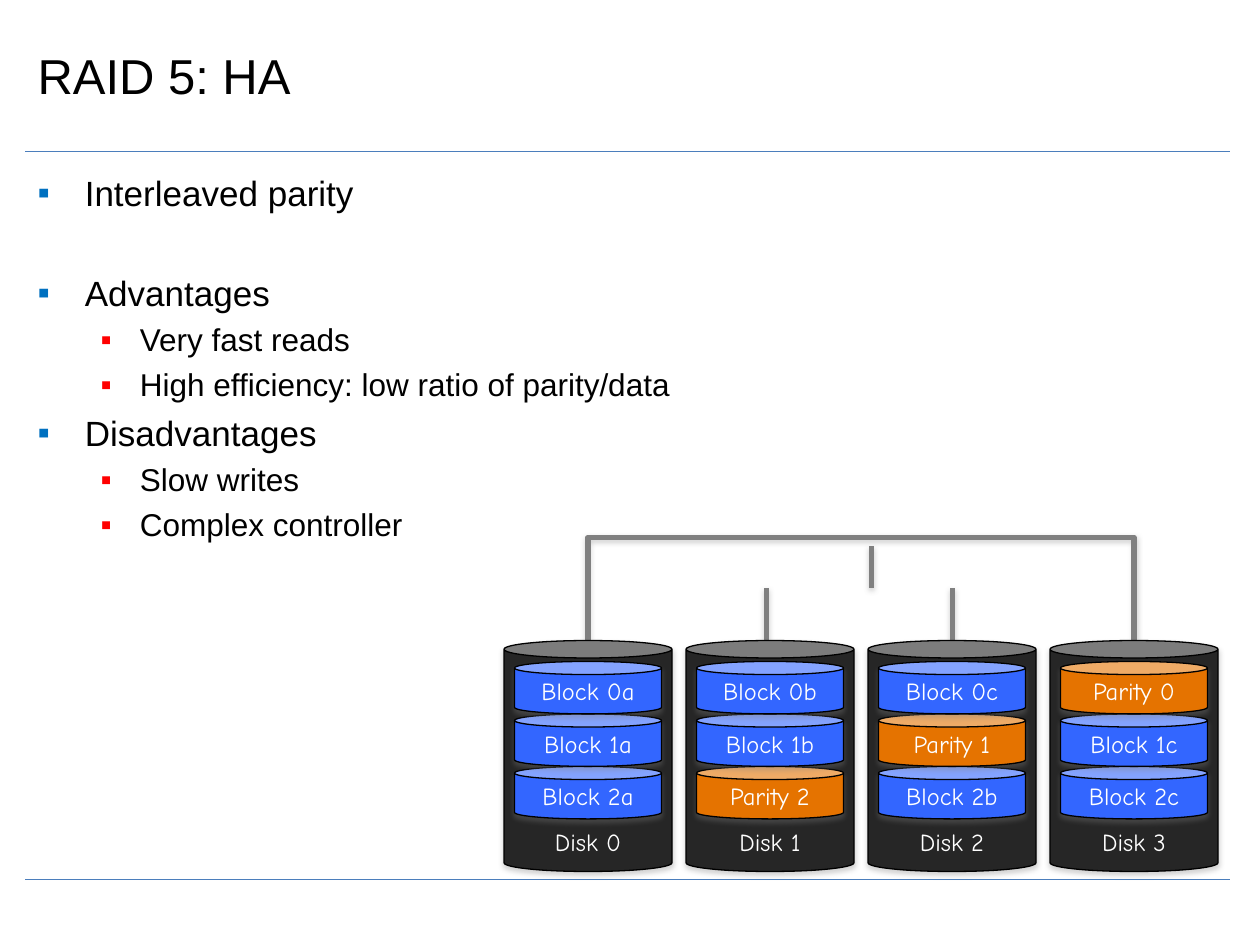
from pptx import Presentation
from pptx.dml.color import RGBColor
from pptx.enum.shapes import MSO_CONNECTOR, MSO_SHAPE
from pptx.enum.text import MSO_ANCHOR, PP_ALIGN
from pptx.oxml.ns import qn
from pptx.util import Pt
from lxml.etree import SubElement

COLORS = {
    "text": "000000", "white": "FFFFFF", "rule": "4B7EBC", "wire": "808080",
    "disk": "262626", "data": "3366FF", "parity": "E57300",
    "bullet": "0070C0", "sub_bullet": "FF0000",
}


def rgb(name):
    return RGBColor.from_string(COLORS[name])


class Deck:
    body_font = "Arial"
    label_font = "Comic Neue"

    def __init__(self, width, height):
        self.prs = Presentation()
        self.prs.slide_width, self.prs.slide_height = Pt(width), Pt(height)
        self.slide = self.prs.slides.add_slide(self.prs.slide_layouts[6])

    def style_runs(self, p, size, font, color):
        for r in p.runs:
            r.font.size, r.font.name = Pt(size), font
            r.font.color.rgb = rgb(color)

    def shadow(self, sp, alpha=35, dist=1.8):
        """Set the soft drop shadow, or none when alpha is 0."""
        spPr = sp._element.spPr
        effects = spPr.find(qn("a:effectLst"))
        if effects is None:
            effects = SubElement(spPr, qn("a:effectLst"))
        if alpha:
            outer = SubElement(effects, qn("a:outerShdw"), blurRad=str(Pt(3.1)),
                               dist=str(Pt(dist)), dir="5400000", rotWithShape="0")
            clr = SubElement(outer, qn("a:srgbClr"), val=COLORS["wire"])
            SubElement(clr, qn("a:alpha"), val=str(alpha * 1000))

    def text_box(self, x, y, w, h, anchor=MSO_ANCHOR.TOP):
        tf = self.slide.shapes.add_textbox(Pt(x), Pt(y), Pt(w), Pt(h)).text_frame
        tf.word_wrap = True
        tf.vertical_anchor = anchor
        return tf

    def title(self, text, *box):
        p = self.text_box(*box, anchor=MSO_ANCHOR.MIDDLE).paragraphs[0]
        p.text = text
        self.style_runs(p, 28, self.body_font, "text")

    def bullets(self, items, *box):
        tf = self.text_box(*box)
        for i, (level, text, before) in enumerate(items):
            p = tf.add_paragraph() if i else tf.paragraphs[0]
            p.text = text
            p.level = level
            p.space_before = Pt(before)
            size, left, hang, color = ((20, 27, 27, "bullet"),
                                       (18, 58.5, 22.5, "sub_bullet"))[level]
            self.style_runs(p, size, self.body_font, "text")
            pPr = p._p.get_or_add_pPr()
            pPr.set("marL", str(Pt(left)))
            pPr.set("indent", str(-Pt(hang)))
            SubElement(SubElement(pPr, qn("a:buClr")), qn("a:srgbClr"), val=COLORS[color])
            SubElement(pPr, qn("a:buFont"), typeface=self.body_font)
            SubElement(pPr, qn("a:buChar"), char="▪")

    def line(self, x1, y1, x2, y2, color, width, alpha=0):
        c = self.slide.shapes.add_connector(
            MSO_CONNECTOR.STRAIGHT, Pt(x1), Pt(y1), Pt(x2), Pt(y2))
        c.line.color.rgb, c.line.width = rgb(color), Pt(width)
        self.shadow(c, alpha, 1.6)

    def bracket(self, points, color, width):
        (x, y), *rest = [(Pt(a), Pt(b)) for a, b in points]
        builder = self.slide.shapes.build_freeform(x, y)
        builder.add_line_segments(rest, close=False)
        sp = builder.convert_to_shape()
        sp.shadow.inherit = False
        sp.fill.background()
        sp.line.color.rgb, sp.line.width = rgb(color), Pt(width)
        self.shadow(sp, 38, 1.6)

    def can(self, text, x, y, w, h, fill, lid, anchor):
        sp = self.slide.shapes.add_shape(MSO_SHAPE.CAN, Pt(x), Pt(y), Pt(w), Pt(h))
        sp.adjustments[0] = lid
        sp.shadow.inherit = False
        sp.fill.solid()
        sp.fill.fore_color.rgb = rgb(fill)
        sp.line.color.rgb, sp.line.width = rgb("text"), Pt(0.75)
        self.shadow(sp)
        tf = sp.text_frame
        tf.text = text
        tf.word_wrap = True
        tf.vertical_anchor = anchor
        p = tf.paragraphs[0]
        p.alignment = PP_ALIGN.CENTER
        self.style_runs(p, 14, self.label_font, "white")

    def disk(self, name, blocks, x, y):
        self.can(name, x, y, 96, 132, "disk", 0.104, MSO_ANCHOR.BOTTOM)
        # Stack from the bottom up so that each lid is overlapped correctly
        for row, text in reversed(list(enumerate(blocks))):
            fill = "parity" if text.startswith("Parity") else "data"
            self.can(text, x + 6, y + 12 + 30 * row, 84, 30, fill, 0.25, MSO_ANCHOR.MIDDLE)


def main():
    deck = Deck(720, 540)

    # Frame rules
    for y in (502.5, 86.4):
        deck.line(14.4, y, 702.7, y, "rule", 0.75)

    # Title and bullets
    deck.title("RAID 5: HA", 14.4, 9.4, 689, 67)
    deck.bullets([
        (0, "Interleaved parity", 4.4),
        (0, "Advantages", 33),
        (1, "Very fast reads", 4.2),
        (1, "High efficiency: low ratio of parity/data", 4.2),
        (0, "Disadvantages", 4.4),
        (1, "Slow writes", 4.2),
        (1, "Complex controller", 4.2),
    ], 14.4, 94.3, 689, 402.5)

    # Wires from the controller to the disks
    top = 366
    deck.bracket([(336, top), (336, 307), (648, 307), (648, top)], "wire", 3)
    for x, y1, y2 in ((498, 336, 312), (438, top, 336), (544.5, top, 336)):
        deck.line(x, y1, x, y2, "wire", 3, alpha=38)

    # Disks, with the parity block moving one disk left on each row
    disks = [
        ("Block 0a", "Block 1a", "Block 2a"),
        ("Block 0b", "Block 1b", "Parity 2"),
        ("Block 0c", "Parity 1", "Block 2b"),
        ("Parity 0", "Block 1c", "Block 2c"),
    ]
    for i, blocks in enumerate(disks):
        deck.disk(f"Disk {i}", blocks, 288 + 104 * i, top)

    deck.prs.save("out.pptx")


if __name__ == "__main__":
    main()
